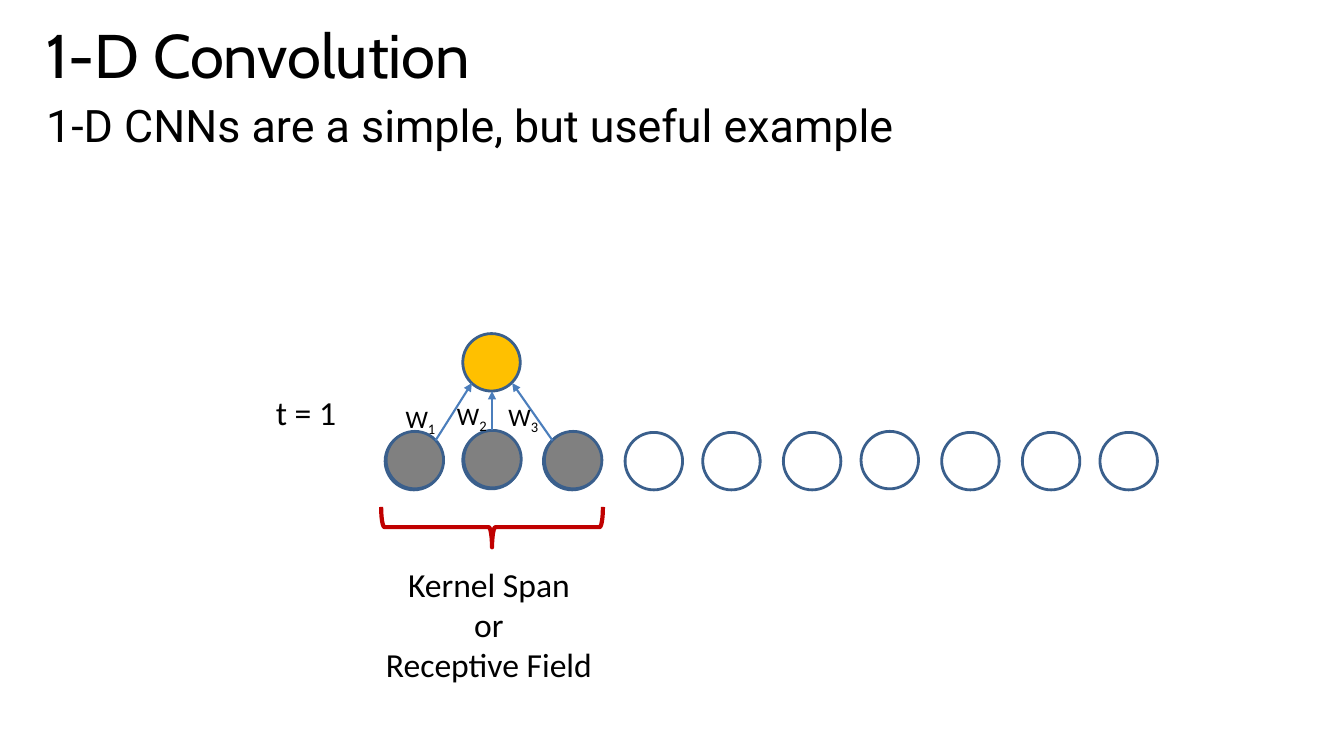
import pptx
import pptx.dml.color
import pptx.enum.shapes
import pptx.enum.text
import pptx.oxml
import pptx.oxml.ns
import pptx.util
from pptx.util import Inches

RGBColor = pptx.dml.color.RGBColor
BLACK = RGBColor(0x00, 0x00, 0x00)
OUTLINE = RGBColor(0x3A, 0x5F, 0x8C)
ARROW = RGBColor(0x4B, 0x7E, 0xBC)
KERNEL = RGBColor(0x80, 0x80, 0x80)
OUTPUT = RGBColor(0xFF, 0xC0, 0x00)
BRACE = RGBColor(0xC0, 0x00, 0x00)

MSO_SHAPE = pptx.enum.shapes.MSO_SHAPE
PP_ALIGN = pptx.enum.text.PP_ALIGN
ANCHOR = pptx.enum.text.MSO_ANCHOR

NODE_SIZE = 0.57
INPUT_NODES = [
    (3.82, 4.29), (4.59, 4.28), (5.39, 4.29), (6.2, 4.29), (6.97, 4.29),
    (7.77, 4.29), (8.54, 4.28), (9.34, 4.29), (10.14, 4.29), (10.91, 4.29),
]
KERNEL_WIDTH = 3
KERNEL_SHIFT = 0.01
WEIGHT_ARROWS = [
    ((4.32, 4.37), (4.68, 3.8)),
    ((4.88, 4.27), (4.88, 3.88)),
    ((5.48, 4.37), (5.08, 3.8)),
]
WEIGHT_LABELS = [(3.91, 3.95), (4.42, 3.92), (4.93, 3.93)]


def add_run(paragraph, text, size, font_name, subscript=False):
    run = paragraph.add_run()
    run.text = text
    run.font.size = pptx.util.Pt(size)
    run.font.name = font_name
    run.font.color.rgb = BLACK
    if subscript:
        run.font._element.set("baseline", "-25000")


def set_title(slide, text):
    title = slide.shapes.title
    title.left, title.top = Inches(0.36), Inches(0.23)
    title.width, title.height = Inches(12.74), Inches(0.74)
    title.text_frame.vertical_anchor = ANCHOR.MIDDLE
    paragraph = title.text_frame.paragraphs[0]
    paragraph.alignment = PP_ALIGN.LEFT
    paragraph.line_spacing = 0.8
    add_run(paragraph, text, 44, "Cabin")


def add_text(slide, left, top, width, height, lines, size, font_name="Calibri",
             alignment=PP_ALIGN.CENTER, wrap=False):
    """Each line is a list of (text, is_subscript) pieces."""
    box = slide.shapes.add_textbox(Inches(left), Inches(top), Inches(width), Inches(height))
    frame = box.text_frame
    frame.word_wrap = wrap
    for index, pieces in enumerate(lines):
        paragraph = frame.add_paragraph() if index else frame.paragraphs[0]
        paragraph.alignment = alignment
        for text, subscript in pieces:
            add_run(paragraph, text, size, font_name, subscript)


def add_outline_shape(slide, kind, left, top, width, height, color, line_width, fill=None):
    shape = slide.shapes.add_shape(kind, Inches(left), Inches(top), Inches(width), Inches(height))
    shape.shadow.inherit = False
    if fill is None:
        shape.fill.background()
    else:
        shape.fill.solid()
        shape.fill.fore_color.rgb = fill
    shape.line.color.rgb = color
    shape.line.width = pptx.util.Pt(line_width)
    return shape


def add_node(slide, left, top, fill=None):
    add_outline_shape(slide, MSO_SHAPE.OVAL, left, top, NODE_SIZE, NODE_SIZE, OUTLINE, 2, fill)


def add_arrow(slide, start, end):
    arrow = slide.shapes.add_connector(
        pptx.enum.shapes.MSO_CONNECTOR.STRAIGHT, *[Inches(value) for value in start + end])
    arrow.line.color.rgb = ARROW
    arrow.line.width = pptx.util.Pt(1.5)
    head = pptx.oxml.parse_xml(
        f'<a:tailEnd {pptx.oxml.ns.nsdecls("a")} type="triangle"/>')
    arrow.line._get_or_add_ln().append(head)
    effects = pptx.oxml.parse_xml(f'<a:effectLst {pptx.oxml.ns.nsdecls("a")}/>')
    arrow._element.spPr.append(effects)


def main():
    presentation = pptx.Presentation()
    presentation.slide_width, presentation.slide_height = Inches(13.33), Inches(7.5)
    slide = presentation.slides.add_slide(presentation.slide_layouts[5])

    # Heading
    set_title(slide, "1-D Convolution")
    add_text(slide, 0.36, 0.92, 12.6, 0.74,
             [[("1-D CNNs are a simple, but useful example", False)]],
             32, "Roboto", PP_ALIGN.LEFT, wrap=True)

    # Input row, output node and the inputs under the kernel
    for left, top in INPUT_NODES:
        add_node(slide, left, top)
    add_node(slide, 4.59, 3.31, OUTPUT)
    for left, top in INPUT_NODES[:KERNEL_WIDTH]:
        add_node(slide, left + KERNEL_SHIFT, top - KERNEL_SHIFT, KERNEL)

    # Weights
    for start, end in WEIGHT_ARROWS:
        add_arrow(slide, start, end)
    for number, (left, top) in enumerate(WEIGHT_LABELS, start=1):
        add_text(slide, left, top, 0.52, 0.4, [[("W", False), (str(number), True)]], 18)

    # Time step
    add_text(slide, 2.55, 3.84, 0.97, 0.5, [[("t = 1", False)]], 24)

    # Kernel span
    brace = add_outline_shape(slide, MSO_SHAPE.RIGHT_BRACE, 4.68, 4.13, 0.4, 2.2, BRACE, 3)
    brace.rotation = 90
    caption = ["Kernel Span", "or", "Receptive Field"]
    add_text(slide, 3.7, 5.54, 2.3, 1.31, [[(line, False)] for line in caption], 24)

    presentation.save("out.pptx")


if __name__ == "__main__":
    main()
